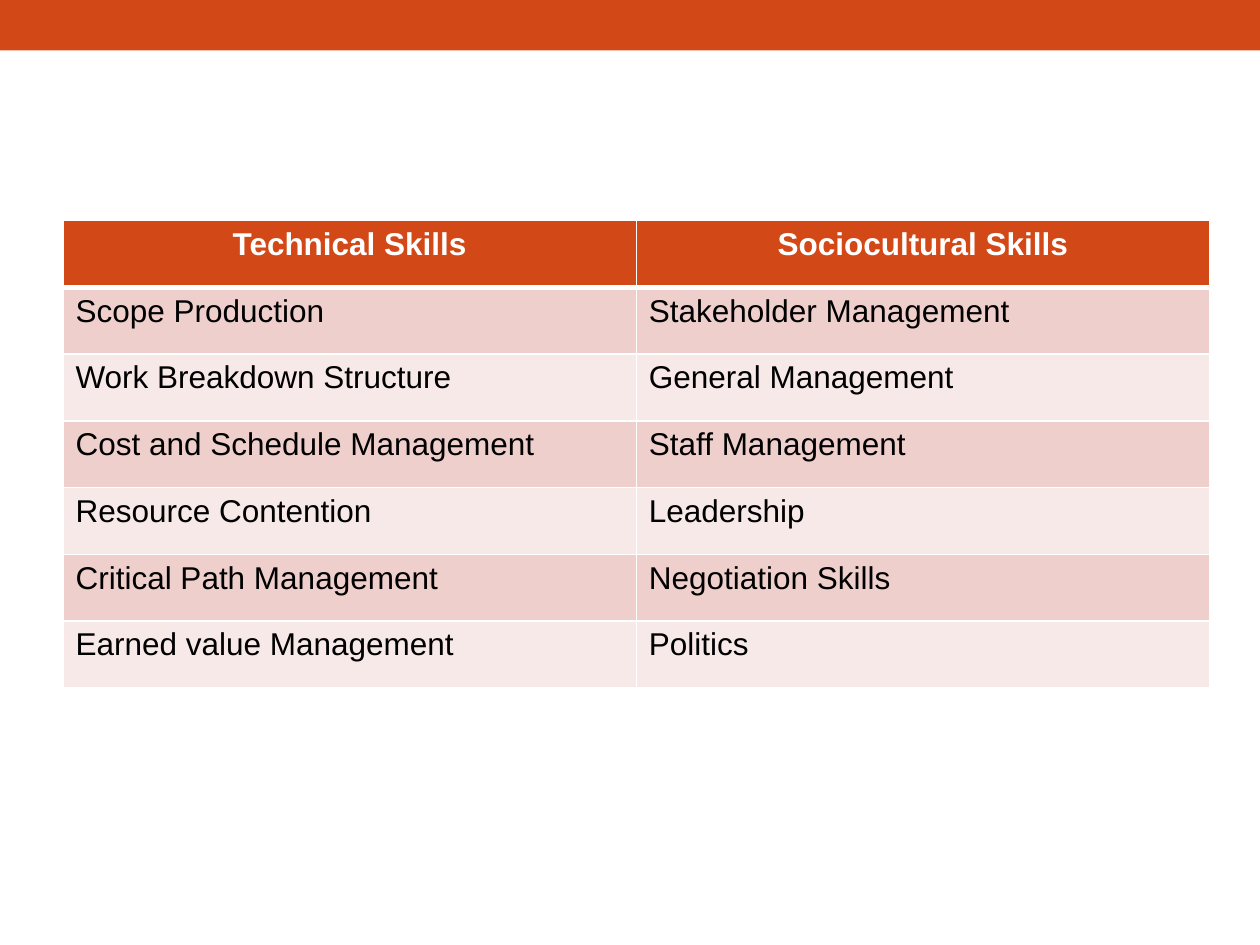
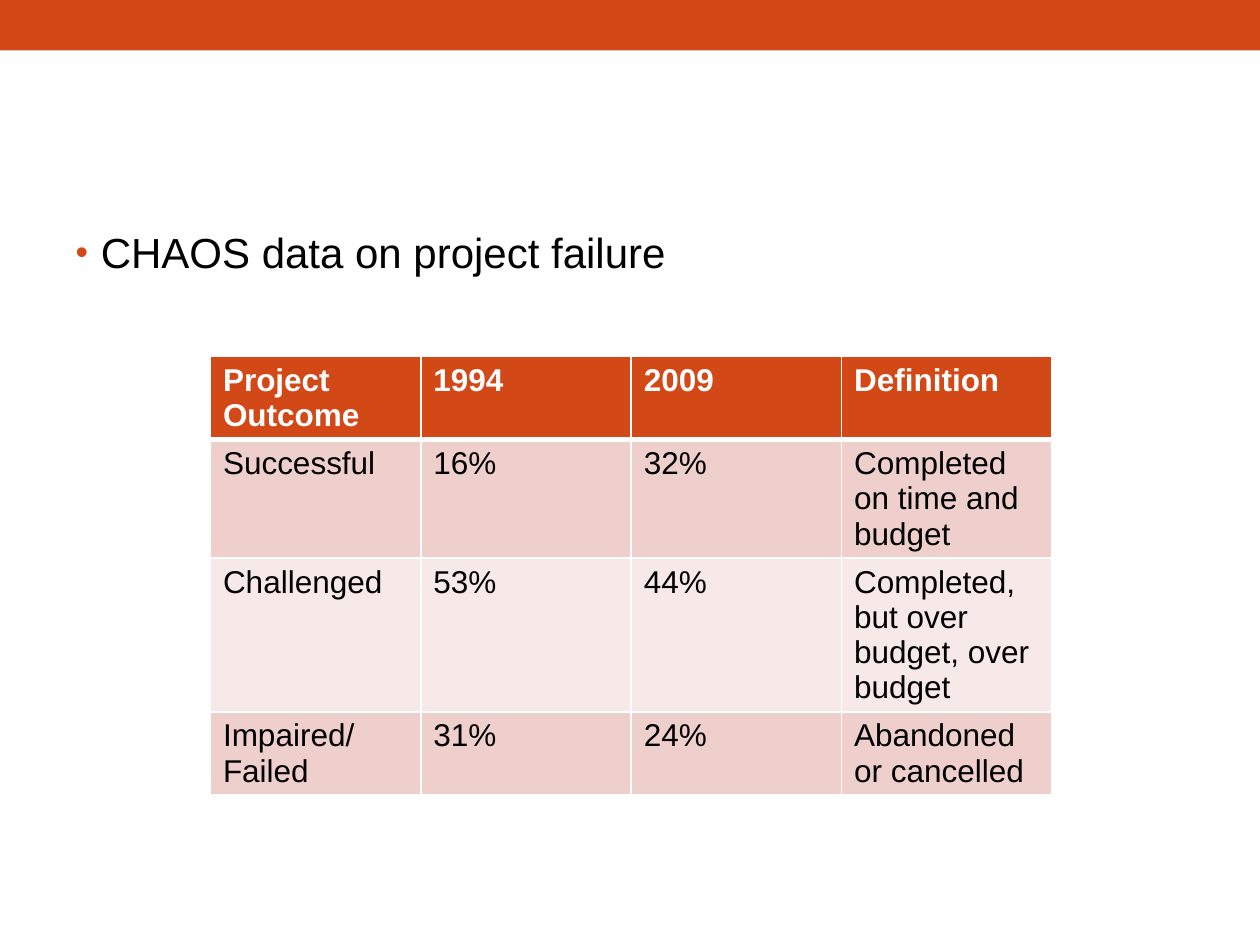
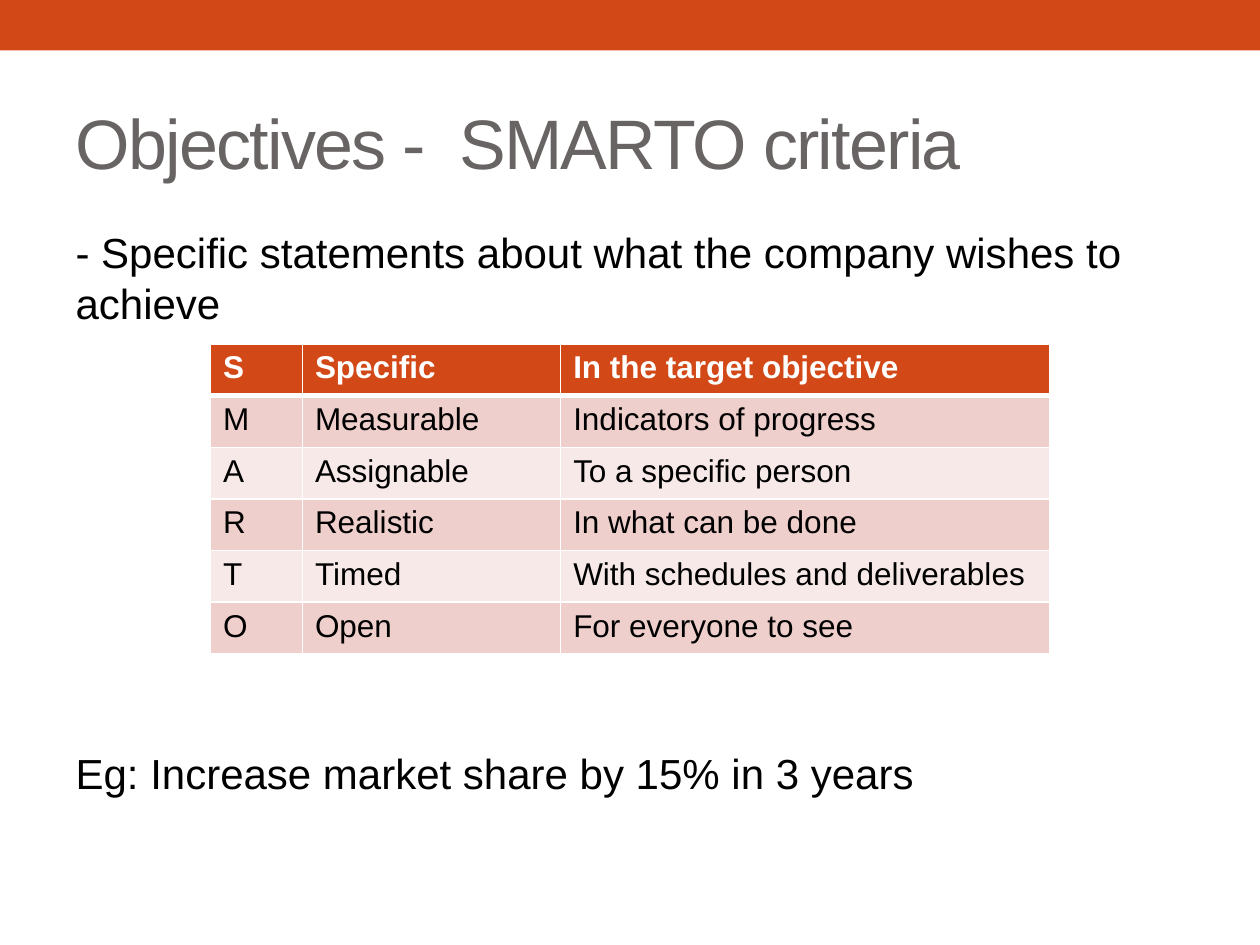
from lxml.etree import SubElement
from pptx import Presentation
from pptx.dml.color import RGBColor
from pptx.enum.shapes import MSO_SHAPE
from pptx.enum.text import MSO_ANCHOR, MSO_AUTO_SIZE, PP_ALIGN
from pptx.oxml.ns import qn
from pptx.util import Inches, Pt

COLORS = {"accent": "D34817", "title": "696464", "text": "000000",
          "white": "FFFFFF", "odd": "EFCFCC", "even": "F7E9E8"}
TITLE_AND_BODY, BLANK = 1, 6
TITLE_BOX = (0.5, 0.58, 9, 1.08)
BODY_BOX = (0.5, 1.75, 9, 5.33)


def rgb(name):
    return RGBColor.from_string(COLORS[name])


class Deck:
    font = "Arial"

    def __init__(self):
        self.prs = Presentation()
        self.prs.slide_width, self.prs.slide_height = Inches(10), Inches(7.5)

    def slide(self, layout):
        self.s = self.prs.slides.add_slide(self.prs.slide_layouts[layout])
        band = self.s.shapes.add_shape(MSO_SHAPE.RECTANGLE, 0, 0, Inches(10), Inches(0.4))
        band.shadow.inherit = False
        band.fill.solid()
        band.fill.fore_color.rgb = rgb("accent")
        band.line.fill.background()

    def run(self, p, text, size, color, bold=False):
        r = p.add_run()
        r.text = text
        for key, value in {"name": self.font, "size": Pt(size), "bold": bold}.items():
            setattr(r.font, key, value)
        r.font.color.rgb = rgb(color)
        return r

    def place(self, sp, box, anchor):
        for key, value in zip(("left", "top", "width", "height"), box):
            setattr(sp, key, Inches(value))
        tf = sp.text_frame
        for key, value in {"word_wrap": True, "auto_size": MSO_AUTO_SIZE.NONE,
                           "vertical_anchor": anchor}.items():
            setattr(tf, key, value)
        return tf

    def title(self, text):
        tf = self.place(self.s.shapes.title, TITLE_BOX, MSO_ANCHOR.MIDDLE)
        p = tf.paragraphs[0]
        p.alignment = PP_ALIGN.LEFT
        r = self.run(p, text, 40, "title")
        r.font._element.set("spc", "-100")

    def drop_title(self):
        sp = self.s.shapes.title._element
        sp.getparent().remove(sp)

    def body(self, items, bullet=False):
        tf = self.place(self.s.placeholders[1], BODY_BOX, MSO_ANCHOR.TOP)
        for i, (text, before) in enumerate(items):
            p = tf.add_paragraph() if i else tf.paragraphs[0]
            p.space_before = Pt(before)
            self.run(p, text, 24, "text")
            self.bullet(p, bullet)

    def bullet(self, p, shown):
        pPr = p._p.get_or_add_pPr()
        indent = Inches(0.2) if shown else 0
        pPr.set("marL", str(indent))
        pPr.set("indent", str(-indent))
        if not shown:
            SubElement(pPr, qn("a:buNone"))
            return
        color = SubElement(pPr, qn("a:buClr"))
        SubElement(color, qn("a:srgbClr"), val=COLORS["accent"])
        SubElement(pPr, qn("a:buSzPct"), val="85000")
        SubElement(pPr, qn("a:buFont"), typeface=self.font)
        SubElement(pPr, qn("a:buChar"), char="•")

    def table(self, rows, left, top, widths, row_height, header_align=PP_ALIGN.LEFT):
        frame = self.s.shapes.add_table(len(rows), len(widths), Inches(left), Inches(top),
                                        Inches(sum(widths)), Inches(row_height * len(rows)))
        table = frame.table
        for column, width in zip(table.columns, widths):
            column.width = Inches(width)
        for i, row in enumerate(rows):
            table.rows[i].height = Inches(row_height)
            for j, text in enumerate(row):
                self.cell(table.cell(i, j), text, i, header_align)

    def cell(self, cell, text, row, header_align):
        header = row == 0
        p = cell.text_frame.paragraphs[0]
        p.alignment = header_align if header else PP_ALIGN.LEFT
        self.run(p, text, 18, "white" if header else "text", header)
        tcPr = cell._tc.get_or_add_tcPr()
        for side in "LRTB":
            thick = (header and side == "B") or (row == 1 and side == "T")
            ln = SubElement(tcPr, qn(f"a:ln{side}"), w=str(Pt(3 if thick else 1)))
            SubElement(SubElement(ln, qn("a:solidFill")), qn("a:srgbClr"), val=COLORS["white"])
        cell.fill.solid()
        cell.fill.fore_color.rgb = rgb("accent" if header else "odd" if row % 2 else "even")


def main():
    deck = Deck()

    deck.slide(BLANK)
    skills = [
        ("Technical Skills", "Sociocultural Skills"),
        ("Scope Production", "Stakeholder Management"),
        ("Work Breakdown Structure", "General Management"),
        ("Cost and Schedule Management", "Staff Management"),
        ("Resource Contention", "Leadership"),
        ("Critical Path Management", "Negotiation Skills"),
        ("Earned value Management", "Politics"),
    ]
    deck.table(skills, 0.5, 1.75, [4.55] * 2, 0.53, PP_ALIGN.CENTER)

    deck.slide(TITLE_AND_BODY)
    deck.drop_title()
    deck.body([("CHAOS data on project failure", 4.8)], bullet=True)
    outcomes = [
        ("Project Outcome", "1994", "2009", "Definition"),
        ("Successful", "16%", "32%", "Completed on time and budget"),
        ("Challenged", "53%", "44%", "Completed, but over budget, over budget"),
        ("Impaired/Failed", "31%", "24%", "Abandoned or cancelled"),
    ]
    deck.table(outcomes, 1.67, 2.83, [1.67] * 4, 0.41)

    deck.slide(TITLE_AND_BODY)
    deck.title("Objectives -  SMARTO criteria")
    deck.body([("- Specific statements about what the company wishes to achieve", 4.8),
               ("Eg: Increase market share by 15% in 3 years", 240)])
    criteria = [
        ("S", "Specific", "In the target objective"),
        ("M", "Measurable", "Indicators of progress"),
        ("A", "Assignable", "To a specific person"),
        ("R", "Realistic", "In what can be done"),
        ("T", "Timed", "With schedules and deliverables"),
        ("O", "Open", "For everyone to see"),
    ]
    deck.table(criteria, 1.67, 2.73, [0.73, 2.05, 3.88], 0.41)

    deck.prs.save("out.pptx")


if __name__ == "__main__":
    main()
